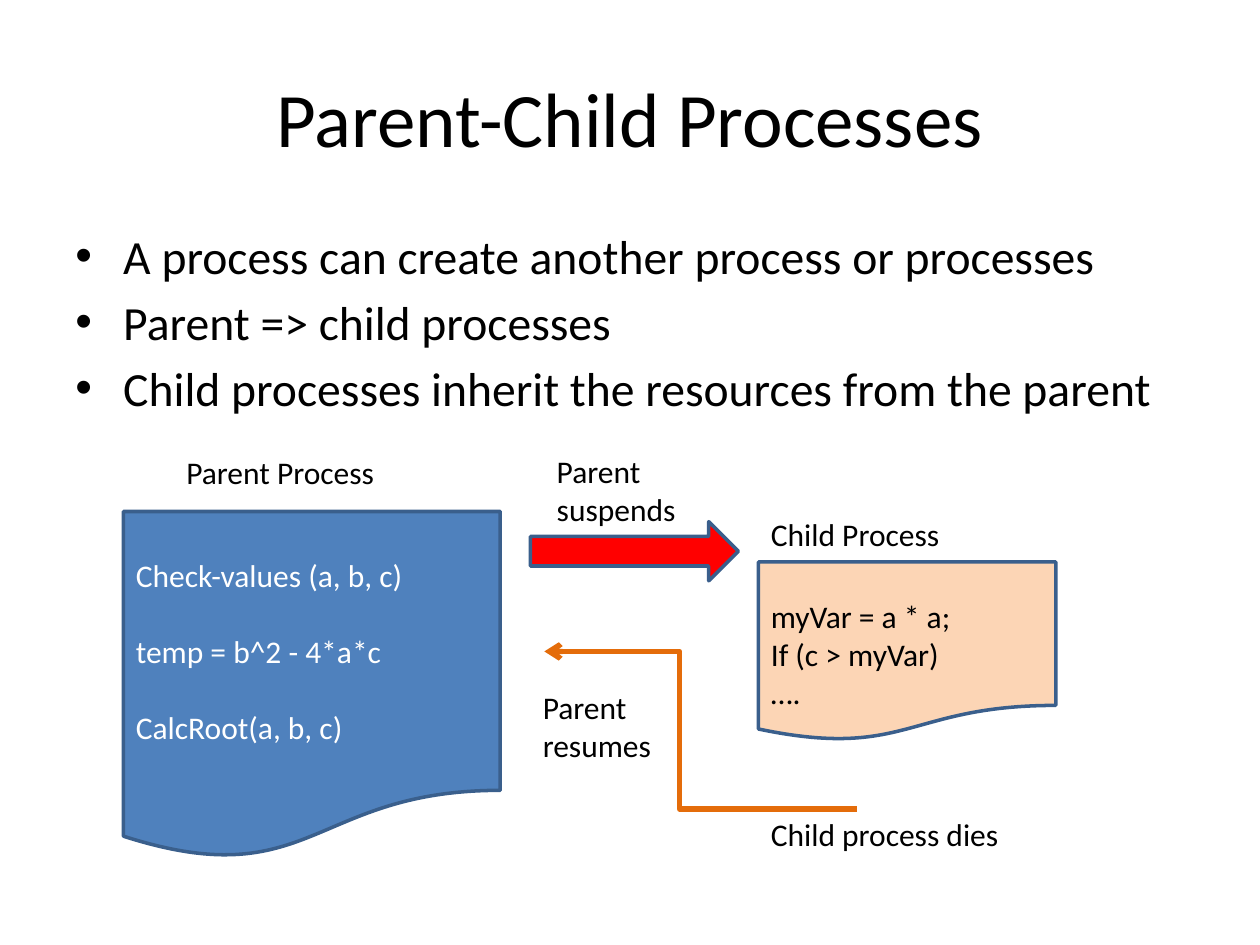
from dataclasses import dataclass

from lxml import etree
from pptx import Presentation
from pptx.dml.color import RGBColor
from pptx.enum.shapes import MSO_CONNECTOR, MSO_SHAPE
from pptx.enum.text import MSO_ANCHOR, PP_ALIGN
from pptx.oxml.ns import qn
from pptx.util import Inches, Pt

DOCUMENT = MSO_SHAPE.FLOWCHART_DOCUMENT
RIGHT_ARROW = MSO_SHAPE.RIGHT_ARROW
ELBOW = MSO_CONNECTOR.ELBOW
TOP, MIDDLE = MSO_ANCHOR.TOP, MSO_ANCHOR.MIDDLE
LEFT, CENTER = PP_ALIGN.LEFT, PP_ALIGN.CENTER

FONT = "Calibri"
BLACK, WHITE = "000000", "FFFFFF"
BLUE, PEACH, RED, ORANGE = "4F81BD", "FCD5B5", "FF0000", "E46C0A"
OUTLINE = "3A5F8C"
BULLET_INDENT = 0.38


@dataclass
class Label:
    box: tuple
    lines: tuple
    wrap: bool = False


@dataclass
class Block:
    preset: int
    box: tuple
    fill: str
    lines: tuple = ()
    color: str = BLACK
    anchor: int = MIDDLE
    gap: float = 0
    top_margin: float = 0.05
    bottom_margin: float = 0.05


BULLETS = (
    "A process can create another process or processes",
    "Parent => child processes",
    "Child processes inherit the resources from the parent",
)
BLOCKS = (
    Block(DOCUMENT, (0.98, 4.06, 2.99, 2.76), BLUE,
          ("Check-values (a, b, c)", "temp = b^2 - 4*a*c", "CalcRoot(a, b, c)"),
          color=WHITE, gap=22),
    Block(DOCUMENT, (6.02, 4.46, 2.36, 1.42), PEACH,
          ("myVar = a * a;", "If (c > myVar)", "…."),
          anchor=TOP, top_margin=0.28, bottom_margin=0),
    Block(RIGHT_ARROW, (4.21, 4.14, 1.65, 0.47), RED),
)
LABELS = (
    Label((1.38, 3.55, 1.71, 0.4), ("Parent Process",)),
    Label((6.02, 4.04, 1.55, 0.4), ("Child Process",)),
    Label((4.32, 3.54, 1.39, 0.71), ("Parent", "suspends"), wrap=True),
    Label((4.21, 5.41, 1.1, 0.71), ("Parent", "resumes"), wrap=True),
    Label((6.02, 6.42, 2.03, 0.4), ("Child process dies",)),
)


def rgb(value: str) -> RGBColor:
    return RGBColor.from_string(value)


def inches(values: tuple) -> list:
    return [Inches(value) for value in values]


def set_values(target, values: dict) -> None:
    for name, value in values.items():
        setattr(target, name, value)


def write_lines(frame, lines: tuple, size: float = 18, color: str = BLACK,
                align: int = LEFT, gap: float = 0) -> None:
    """Write one paragraph per line, with a gap in points between them."""
    for index, line in enumerate(lines):
        paragraph = frame.paragraphs[0] if index == 0 else frame.add_paragraph()
        set_values(paragraph, {"alignment": align,
                               "space_before": Pt(gap if index else 0)})
        run = paragraph.add_run()
        run.text = line
        set_values(run.font, {"name": FONT, "size": Pt(size)})
        run.font.color.rgb = rgb(color)


def add_title(slide, text: str) -> None:
    title = slide.shapes.title
    left, top, width, height = inches((0.5, 0.3, 9, 1.25))
    set_values(title, {"left": left, "top": top, "width": width, "height": height})
    title.text_frame.vertical_anchor = MIDDLE
    write_lines(title.text_frame, (text,), size=44, align=CENTER)


def add_bullets(slide, bullets: tuple) -> None:
    frame = slide.shapes.add_textbox(*inches((0.5, 1.75, 9, 2.16))).text_frame
    frame.word_wrap = True
    write_lines(frame, bullets, size=27.2, gap=5)
    for paragraph in frame.paragraphs:
        properties = paragraph._p.get_or_add_pPr()
        properties.set("marL", str(Inches(BULLET_INDENT)))
        properties.set("indent", str(-Inches(BULLET_INDENT)))
        etree.SubElement(properties, qn("a:buFont")).set("typeface", "Arial")
        etree.SubElement(properties, qn("a:buChar")).set("char", "•")


def add_block(slide, block: Block) -> None:
    shape = slide.shapes.add_shape(block.preset, *inches(block.box))
    shape.shadow.inherit = False
    shape.fill.solid()
    shape.fill.fore_color.rgb = rgb(block.fill)
    shape.line.color.rgb = rgb(OUTLINE)
    shape.line.width = Pt(2)
    set_values(shape.text_frame, {
        "vertical_anchor": block.anchor,
        "margin_top": Inches(block.top_margin),
        "margin_bottom": Inches(block.bottom_margin),
    })
    write_lines(shape.text_frame, block.lines, color=block.color, gap=block.gap)


def add_label(slide, label: Label) -> None:
    frame = slide.shapes.add_textbox(*inches(label.box)).text_frame
    frame.word_wrap = label.wrap
    write_lines(frame, label.lines)


def add_return_arrow(slide) -> None:
    """Draw the elbow from the child's end back to the parent."""
    arrow = slide.shapes.add_connector(ELBOW, *inches((4.32, 5.17, 6.8, 6.42)))
    arrow.line.color.rgb = rgb(ORANGE)
    arrow.line.width = Pt(3)
    etree.SubElement(arrow.line._get_or_add_ln(), qn("a:headEnd")).set("type", "arrow")
    properties = arrow._element.spPr
    etree.SubElement(properties, qn("a:effectLst"))
    bend = etree.SubElement(properties.find(qn("a:prstGeom")).find(qn("a:avLst")), qn("a:gd"))
    bend.set("name", "adj1")
    bend.set("fmla", "val 43300")


def main() -> None:
    presentation = Presentation()
    presentation.slide_width, presentation.slide_height = inches((10, 7.5))
    slide = presentation.slides.add_slide(presentation.slide_layouts[5])

    # Heading and bullet points
    add_title(slide, "Parent-Child Processes")
    add_bullets(slide, BULLETS)

    # Process diagram
    for block in BLOCKS:
        add_block(slide, block)
    for label in LABELS:
        add_label(slide, label)
    add_return_arrow(slide)

    presentation.save("out.pptx")


if __name__ == "__main__":
    main()
